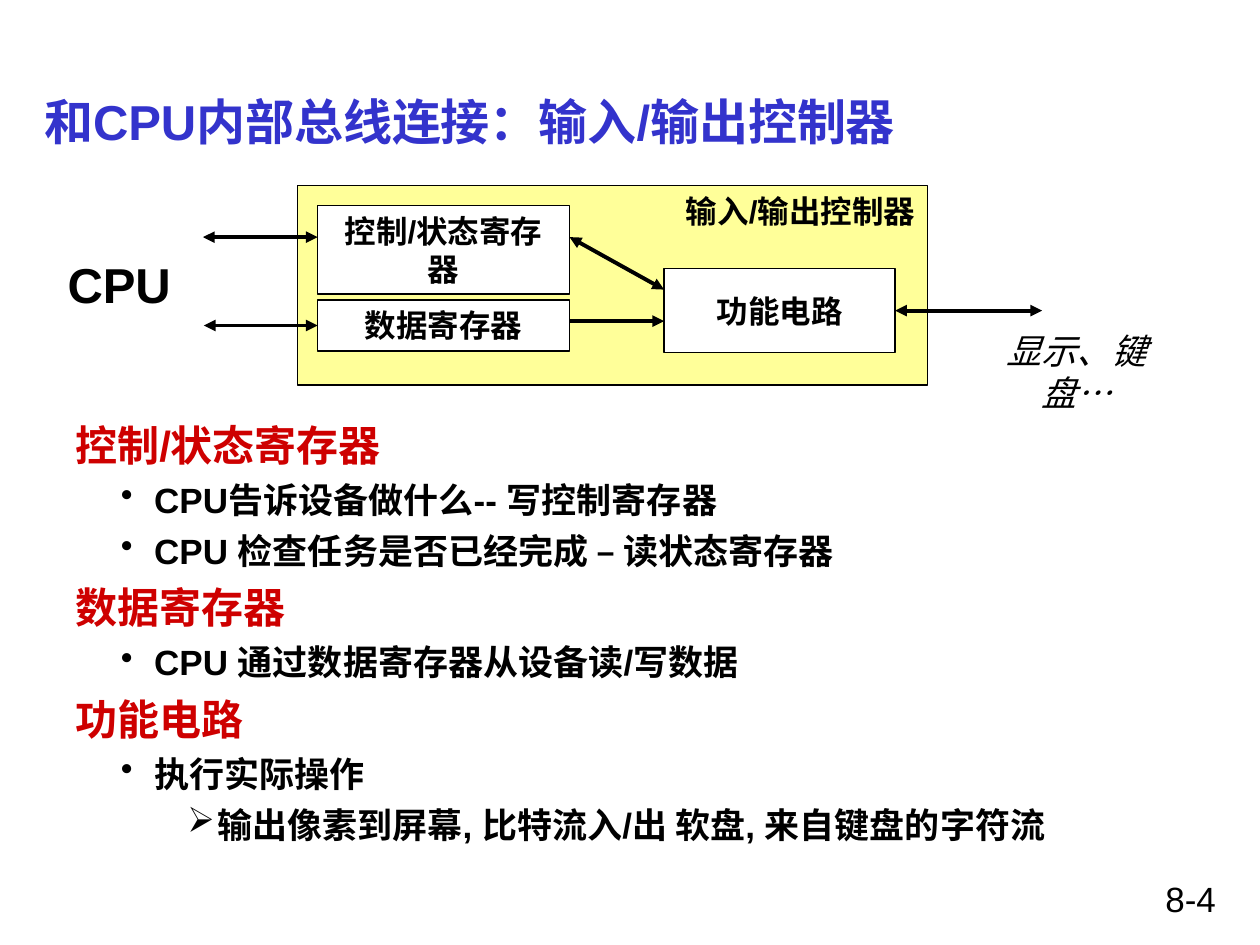
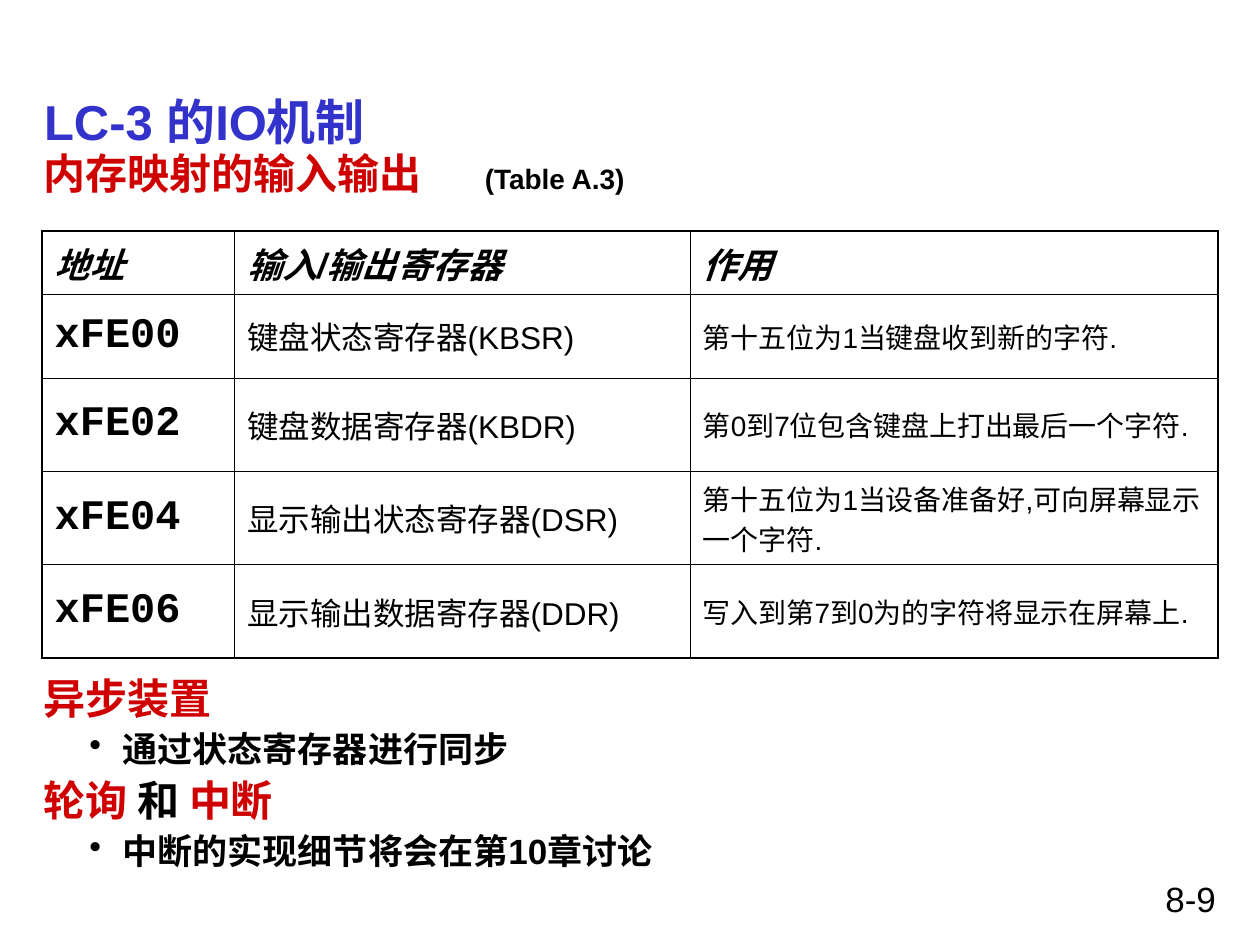
import pptx
import pptx.dml.color
import pptx.enum.shapes
import pptx.enum.text
import pptx.oxml
import pptx.oxml.ns
import pptx.util
from lxml import etree

Pt = pptx.util.Pt
qn = pptx.oxml.ns.qn
ALIGN = pptx.enum.text.PP_ALIGN
ANCHOR = pptx.enum.text.MSO_ANCHOR

HEX = {"ink": "000000", "paper": "FFFFFF", "title": "3333CC",
       "head": "CE0000", "panel": "FFFF99"}

# Text levels: font size, colour, bullet, left margin, hanging indent, space before
LEVELS = [
    {"size": 24, "hue": "head", "mark": None, "left": 0, "hang": 0, "gap": 6},
    {"size": 20, "hue": "ink", "mark": "•", "left": 45, "hang": -19, "gap": 5},
    {"size": 20, "hue": "ink", "mark": "➢", "left": 81, "hang": -17, "gap": 5},
]

# Slide 1: each line is (level, runs); a run is (text, changes to the level's font)
PARTS = [
    (0, [("控制/状态寄存器", {})]),
    (1, [("CPU告诉设备做什么-- 写控制寄存器", {})]),
    (1, [("CPU 检查任务是否已经完成 – 读状态寄存器", {})]),
    (0, [("数据寄存器", {})]),
    (1, [("CPU 通过数据寄存器从设备读/写数据", {})]),
    (0, [("功能电路", {})]),
    (1, [("执行实际操作", {})]),
    (2, [("输出像素到屏幕, 比特流入/出 软盘, 来自键盘的字符流", {})]),
]
PANEL = (170, 106, 360, 114)
BOXES = {
    "state": ("控制/状态寄存器", (181.5, 117.5, 144, 50.5), ANCHOR.TOP),
    "data": ("数据寄存器", (181.5, 171.5, 144, 29), ANCHOR.TOP),
    "core": ("功能电路", (379.5, 153.5, 132, 48), ANCHOR.MIDDLE),
}
LABELS = [
    ("输入/输出控制器", (377, 106, 153, 50), ALIGN.RIGHT, {"size": 18, "bold": True}),
    ("CPU", (31.5, 142, 74, 41), ALIGN.LEFT, {"size": 28, "bold": True}),
    ("显示、键盘…", (550, 185, 130, 32), ALIGN.CENTER, {"size": 20, "italic": True}),
]
# Arrows: from, to, two-headed, joined box, joined side, which end is joined
ARROWS = [
    ((512, 177.5), (595.5, 177.5), True, ("core", 3, "begin")),
    ((116, 135.5), (181.5, 135.5), True, None),
    ((325.5, 183.5), (379.5, 183.5), False, None),
    ((325.5, 135.5), (379.5, 165.5), True, None),
    ((116.5, 186), (181.5, 186), True, ("data", 1, "end")),
]

# Slide 2
LEAD = [(0, [("内存映射的输入输出\t", {}),
             ("(Table A.3)", {"size": 16, "hue": "ink"})])]
NOTES = [
    (0, [("异步装置", {})]),
    (1, [("通过状态寄存器进行同步", {})]),
    (0, [("轮询 ", {}), ("和 ", {"hue": "ink"}), ("中断", {})]),
    (1, [("中断的实现细节将会在第10章讨论", {})]),
]
ROWS = [
    ("地址", "输入/输出寄存器", "作用"),
    ("xFE00", "键盘状态寄存器(KBSR)", "第十五位为1当键盘收到新的字符."),
    ("xFE02", "键盘数据寄存器(KBDR)", "第0到7位包含键盘上打出最后一个字符."),
    ("xFE04", "显示输出状态寄存器(DSR)", "第十五位为1当设备准备好,可向屏幕显示一个字符."),
    ("xFE06", "显示输出数据寄存器(DDR)", "写入到第7到0为的字符将显示在屏幕上."),
]
WIDTHS = (110, 260.5, 301.5)
HEIGHTS = (36, 48, 53.33, 53.33, 53.33)
HEADER = {"size": 20, "bold": True, "italic": True}
COLUMNS = [{"size": 24, "bold": True, "name": "Courier New"},
           {"size": 18}, {"size": 16}]


def rgb(hue):
    return pptx.dml.color.RGBColor.from_string(HEX[hue])


def pts(vals):
    return [Pt(v) for v in vals]


def style(font, size, hue="ink", name="Arial", bold=False, italic=False):
    for key, val in {"size": Pt(size), "name": name,
                     "bold": bold, "italic": italic}.items():
        setattr(font, key, val)
    font.color.rgb = rgb(hue)


def write(frame, text, align=ALIGN.LEFT, anchor=ANCHOR.TOP, **look):
    """Put one styled line of text in a frame."""
    for key, val in {"word_wrap": True, "vertical_anchor": anchor,
                     "auto_size": pptx.enum.text.MSO_AUTO_SIZE.NONE}.items():
        setattr(frame, key, val)
    para = frame.paragraphs[0]
    para.alignment = align
    run = para.add_run()
    run.text = text
    style(run.font, **look)


def label(slide, text, area, align, look):
    box = slide.shapes.add_textbox(*pts(area))
    write(box.text_frame, text, align, **look)


def page(deck, title, number):
    """Add a slide with the shared title and page number."""
    slide = deck.slides.add_slide(deck.slide_layouts[5])
    head = slide.shapes.title
    for key, val in zip(("left", "top", "width", "height"), (18, 48, 684, 42)):
        setattr(head, key, Pt(val))
    write(head.text_frame, title, anchor=ANCHOR.MIDDLE,
          size=28, hue="title", bold=True)
    label(slide, number, (516, 498, 186, 30), ALIGN.RIGHT, {"size": 20})
    return slide


def outline(slide, lines, area, space=1.0, stop=None):
    """Add a bold, bulleted list; stop is a tab stop in points."""
    frame = slide.shapes.add_textbox(*pts(area)).text_frame
    frame.word_wrap = True
    for num, (level, runs) in enumerate(lines):
        kind = LEVELS[level]
        para = frame.add_paragraph() if num else frame.paragraphs[0]
        para.level = level
        para.line_spacing = space
        para.space_before = Pt(kind["gap"])
        props = para._p.get_or_add_pPr()
        props.set("marL", str(Pt(kind["left"])))
        props.set("indent", str(Pt(kind["hang"])))
        if kind["mark"]:
            tint = etree.SubElement(props, qn("a:buClr"))
            etree.SubElement(tint, qn("a:srgbClr"), val=HEX["ink"])
            etree.SubElement(props, qn("a:buChar"), char=kind["mark"])
        if stop:
            tabs = etree.SubElement(props, qn("a:tabLst"))
            etree.SubElement(tabs, qn("a:tab"), pos=str(Pt(stop)), algn="l")
        for text, change in runs:
            run = para.add_run()
            run.text = text
            look = {"size": kind["size"], "hue": kind["hue"], "bold": True}
            style(run.font, **{**look, **change})


def block(slide, area, hue):
    shape = slide.shapes.add_shape(
        pptx.enum.shapes.MSO_SHAPE.RECTANGLE, *pts(area))
    shape.shadow.inherit = False
    shape.fill.solid()
    shape.fill.fore_color.rgb = rgb(hue)
    shape.line.color.rgb = rgb("ink")
    shape.line.width = Pt(1)
    return shape


def arrow(slide, start, end, both, join, boxes):
    line = slide.shapes.add_connector(
        pptx.enum.shapes.MSO_CONNECTOR.STRAIGHT, *pts(start + end))
    if join:
        name, side, tip = join
        link = line.begin_connect if tip == "begin" else line.end_connect
        link(boxes[name], side)
    line.line.color.rgb = rgb("ink")
    line.line.width = Pt(2.25)
    stroke = line.line._get_or_add_ln()
    for tag in ("a:headEnd", "a:tailEnd")[0 if both else 1:]:
        etree.SubElement(stroke, qn(tag), type="triangle")
    etree.SubElement(line._element.spPr, qn("a:effectLst"))


def border(cell, sides):
    """Draw cell borders from (tag, width) pairs."""
    props = cell._tc.get_or_add_tcPr()
    for num, (tag, width) in enumerate(sides):
        line = etree.Element(qn(tag), w=str(Pt(width)))
        fill = etree.SubElement(line, qn("a:solidFill"))
        etree.SubElement(fill, qn("a:srgbClr"), val=HEX["ink"])
        props.insert(num, line)


def grid(slide):
    """Add the register table: thick frame, thin inner lines."""
    area = (24, 132, sum(WIDTHS), sum(HEIGHTS))
    table = slide.shapes.add_table(len(ROWS), len(WIDTHS), *pts(area)).table
    table.first_row = table.horz_banding = False
    for col, width in zip(table.columns, WIDTHS):
        col.width = Pt(width)
    for row, height in zip(table.rows, HEIGHTS):
        row.height = Pt(height)
    for r, row in enumerate(ROWS):
        for c, text in enumerate(row):
            cell = table.cell(r, c)
            cell.fill.solid()
            cell.fill.fore_color.rgb = rgb("paper")
            cell.vertical_anchor = ANCHOR.MIDDLE if r else ANCHOR.TOP
            run = cell.text_frame.paragraphs[0].add_run()
            run.text = text
            style(run.font, **(COLUMNS[c] if r else HEADER))
            edges = {"a:lnL": c == 0, "a:lnR": c == len(row) - 1,
                     "a:lnT": r == 0, "a:lnB": r == len(ROWS) - 1}
            border(cell, [(tag, 1.08 if outer else 0.45)
                          for tag, outer in edges.items()])


def control(deck):
    slide = page(deck, "和CPU内部总线连接：输入/输出控制器", "8-4")
    outline(slide, PARTS, (36, 236, 684, 266))
    block(slide, PANEL, "panel")
    boxes = {}
    for name, (text, area, anchor) in BOXES.items():
        boxes[name] = block(slide, area, "paper")
        write(boxes[name].text_frame, text, ALIGN.CENTER, anchor,
              size=18, bold=True)
    for item in LABELS:
        label(slide, *item)
    for item in ARROWS:
        arrow(slide, *item, boxes)


def mapping(deck):
    slide = page(deck, "LC-3 的IO机制", "8-9")
    outline(slide, LEAD, (18, 84, 624, 40), 0.9, stop=232.5)
    grid(slide)
    outline(slide, NOTES, (18, 384, 624, 130), 0.9)


def main():
    deck = pptx.Presentation()
    deck.slide_width, deck.slide_height = Pt(720), Pt(540)
    control(deck)
    mapping(deck)
    deck.save("out.pptx")


if __name__ == "__main__":
    main()
